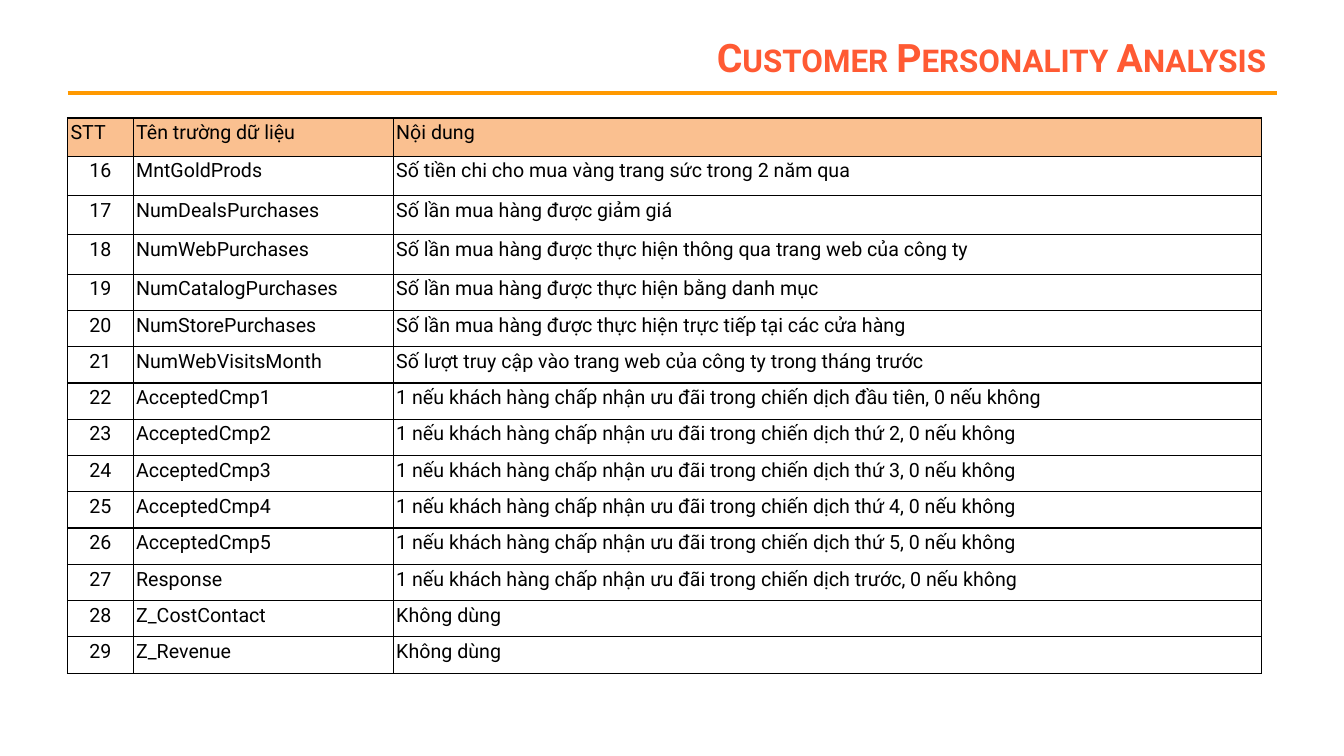
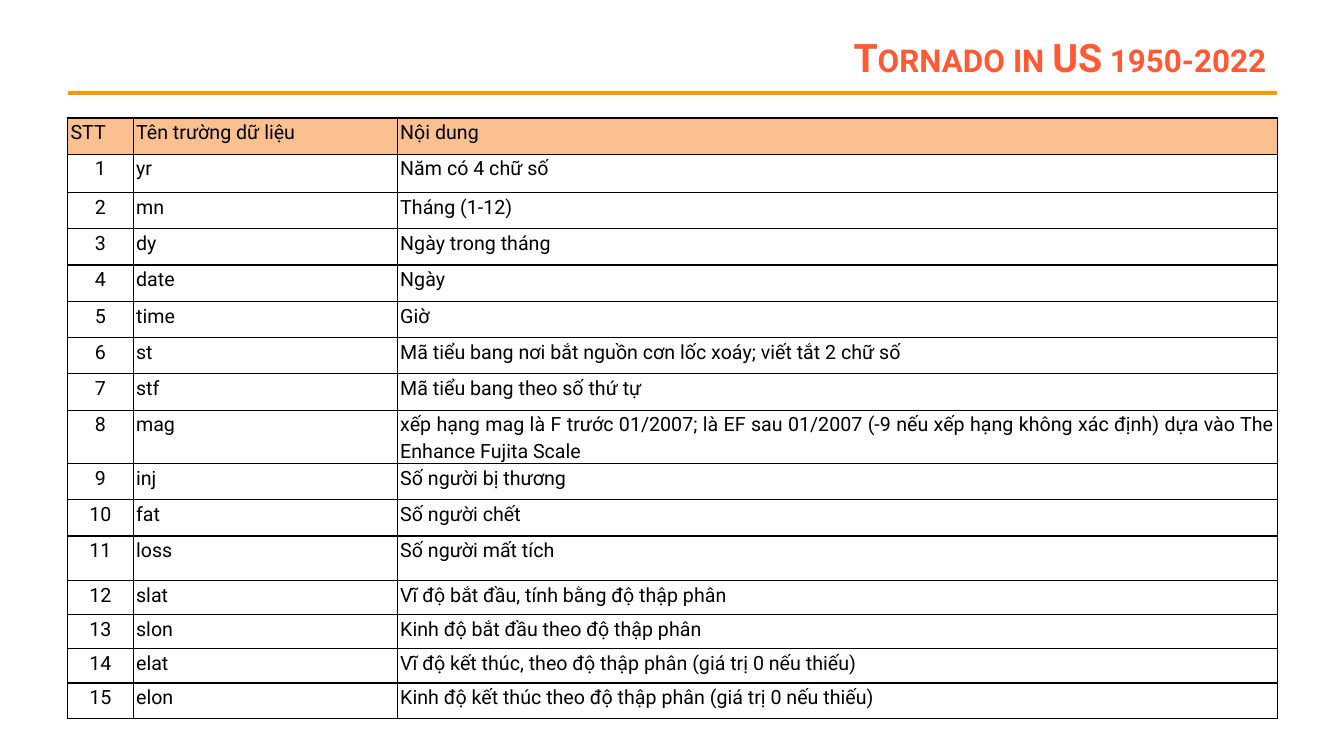
from dataclasses import dataclass

from lxml import etree
from pptx import Presentation
from pptx import util as u
from pptx.dml.color import RGBColor
from pptx.enum import shapes, text
from pptx.oxml.ns import qn
from pptx.slide import Slide
from pptx.table import _Cell as Cell

Inches, Pt, Align = u.Inches, u.Pt, text.PP_ALIGN


@dataclass(frozen=True)
class Theme:
    font: str = "Roboto"
    title_size: int = 28
    table_size: int = 14
    line_spacing: float = 1.15
    title: str = "FF5A33"
    rule: str = "FF9900"
    header: str = "FAC090"
    ink: str = "000000"


@dataclass(frozen=True)
class FieldPage:
    title: str
    first_number: int
    columns: tuple[float, ...]
    rows: tuple[float, ...]
    note_align: Align
    fields: tuple[tuple[str, str], ...]


THEME = Theme()
LEFT = 0.67
HEADINGS = ("STT", "Tên trường dữ liệu", "Nội dung")


def campaign(name: str) -> str:
    return f"1 nếu khách hàng chấp nhận ưu đãi trong chiến dịch {name}, 0 nếu không"


PAGES = (
    FieldPage(
        "Customer Personality Analysis", 16, (0.65, 2.58, 8.61),
        (0.38, *[0.39] * 3, *[0.36] * 11), Align.LEFT,
        (
            ("MntGoldProds", "Số tiền chi cho mua vàng trang sức trong 2 năm qua"),
            ("NumDealsPurchases", "Số lần mua hàng được giảm giá"),
            ("NumWebPurchases", "Số lần mua hàng được thực hiện thông qua trang web của công ty"),
            ("NumCatalogPurchases", "Số lần mua hàng được thực hiện bằng danh mục"),
            ("NumStorePurchases", "Số lần mua hàng được thực hiện trực tiếp tại các cửa hàng"),
            ("NumWebVisitsMonth", "Số lượt truy cập vào trang web của công ty trong tháng trước"),
            ("AcceptedCmp1", campaign("đầu tiên")),
            *((f"AcceptedCmp{n}", campaign(f"thứ {n}")) for n in range(2, 6)),
            ("Response", campaign("trước")),
            ("Z_CostContact", "Không dùng"),
            ("Z_Revenue", "Không dùng"),
        ),
    ),
    FieldPage(
        "Tornado in US 1950-2022", 1, (0.65, 2.62, 8.73),
        (0.36, 0.38, *[0.36] * 9, 0.44, *[0.34] * 3, 0.35), Align.JUSTIFY,
        (
            ("yr", "Năm có 4 chữ số"),
            ("mn", "Tháng (1-12)"),
            ("dy", "Ngày trong tháng"),
            ("date", "Ngày"),
            ("time", "Giờ"),
            ("st", "Mã tiểu bang nơi bắt nguồn cơn lốc xoáy; viết tắt 2 chữ số"),
            ("stf", "Mã tiểu bang theo số thứ tự"),
            ("mag", "xếp hạng mag là F trước 01/2007; là EF sau 01/2007 "
                    "(-9 nếu xếp hạng không xác định) dựa vào The Enhance Fujita Scale"),
            ("inj", "Số người bị thương"),
            ("fat", "Số người chết"),
            ("loss", "Số người mất tích"),
            ("slat", "Vĩ độ bắt đầu, tính bằng độ thập phân"),
            ("slon", "Kinh độ bắt đầu theo độ thập phân"),
            ("elat", "Vĩ độ kết thúc, theo độ thập phân (giá trị 0 nếu thiếu)"),
            ("elon", "Kinh độ kết thúc theo độ thập phân (giá trị 0 nếu thiếu)"),
        ),
    ),
)


# Title and the rule below it
def add_heading(page: Slide, title: str) -> None:
    box = page.shapes.title
    box.left, box.top = Inches(2.44), Inches(0.3)
    box.width, box.height = Inches(10.22), Inches(0.53)
    frame = box.text_frame
    frame.text = title
    frame.auto_size = text.MSO_AUTO_SIZE.NONE
    frame.vertical_anchor = text.MSO_ANCHOR.MIDDLE
    para = frame.paragraphs[0]
    para.alignment = Align.RIGHT
    span = para.runs[0]
    span.font.name, span.font.size = THEME.font, Pt(THEME.title_size)
    span.font.bold = True
    span.font.color.rgb = RGBColor.from_string(THEME.title)
    span._r.get_or_add_rPr().set("cap", "small")

    rule = page.shapes.add_connector(
        shapes.MSO_CONNECTOR.STRAIGHT, Inches(LEFT), Inches(0.92), Inches(12.67), Inches(0.92))
    rule.line.color.rgb = RGBColor.from_string(THEME.rule)
    rule.line.width = Pt(3)
    etree.SubElement(rule._element.spPr, qn("a:effectLst"))


# Table cells
def add_borders(cell: Cell) -> None:
    properties = cell._tc.get_or_add_tcPr()
    for position, side in enumerate(("a:lnL", "a:lnR", "a:lnT", "a:lnB")):
        line = etree.Element(qn(side), w=str(Pt(1)))
        fill = etree.SubElement(line, qn("a:solidFill"))
        etree.SubElement(fill, qn("a:srgbClr"), val=THEME.ink)
        properties.insert(position, line)


def fill_cell(cell: Cell, words: str, align: Align, is_header: bool) -> None:
    cell.margin_left = cell.margin_right = Inches(0.03)
    cell.margin_top = cell.margin_bottom = 0
    if is_header:
        cell.fill.solid()
        cell.fill.fore_color.rgb = RGBColor.from_string(THEME.header)
    else:
        cell.fill.background()
    add_borders(cell)
    cell.text_frame.text = words
    para = cell.text_frame.paragraphs[0]
    para.alignment, para.line_spacing = align, THEME.line_spacing
    font = para.runs[0].font
    font.name, font.size = THEME.font, Pt(THEME.table_size)
    font.color.rgb = RGBColor.from_string(THEME.ink)


# Numbered list of data fields
def add_field_table(page: Slide, content: FieldPage) -> None:
    table = page.shapes.add_table(
        len(content.rows), len(content.columns), Inches(LEFT), Inches(1.17),
        Inches(sum(content.columns)), Inches(sum(content.rows))).table
    table.first_row = table.horz_banding = False
    for column, width in zip(table.columns, content.columns):
        column.width = Inches(width)
    for row, height in zip(table.rows, content.rows):
        row.height = Inches(height)

    numbered = [(str(number), *field)
                for number, field in enumerate(content.fields, content.first_number)]
    body_aligns = (Align.CENTER, Align.JUSTIFY, content.note_align)
    for r, record in enumerate([HEADINGS, *numbered]):
        aligns = body_aligns if r else (Align.JUSTIFY,) * 3
        for c, (words, align) in enumerate(zip(record, aligns)):
            fill_cell(table.cell(r, c), words, align, is_header=r == 0)


def main() -> None:
    deck = Presentation()
    deck.slide_width, deck.slide_height = Inches(13.33), Inches(7.5)
    title_only = deck.slide_layouts.get_by_name("Title Only")
    for content in PAGES:
        page = deck.slides.add_slide(title_only)
        add_heading(page, content.title)
        add_field_table(page, content)
    deck.save("out.pptx")


if __name__ == "__main__":
    main()
